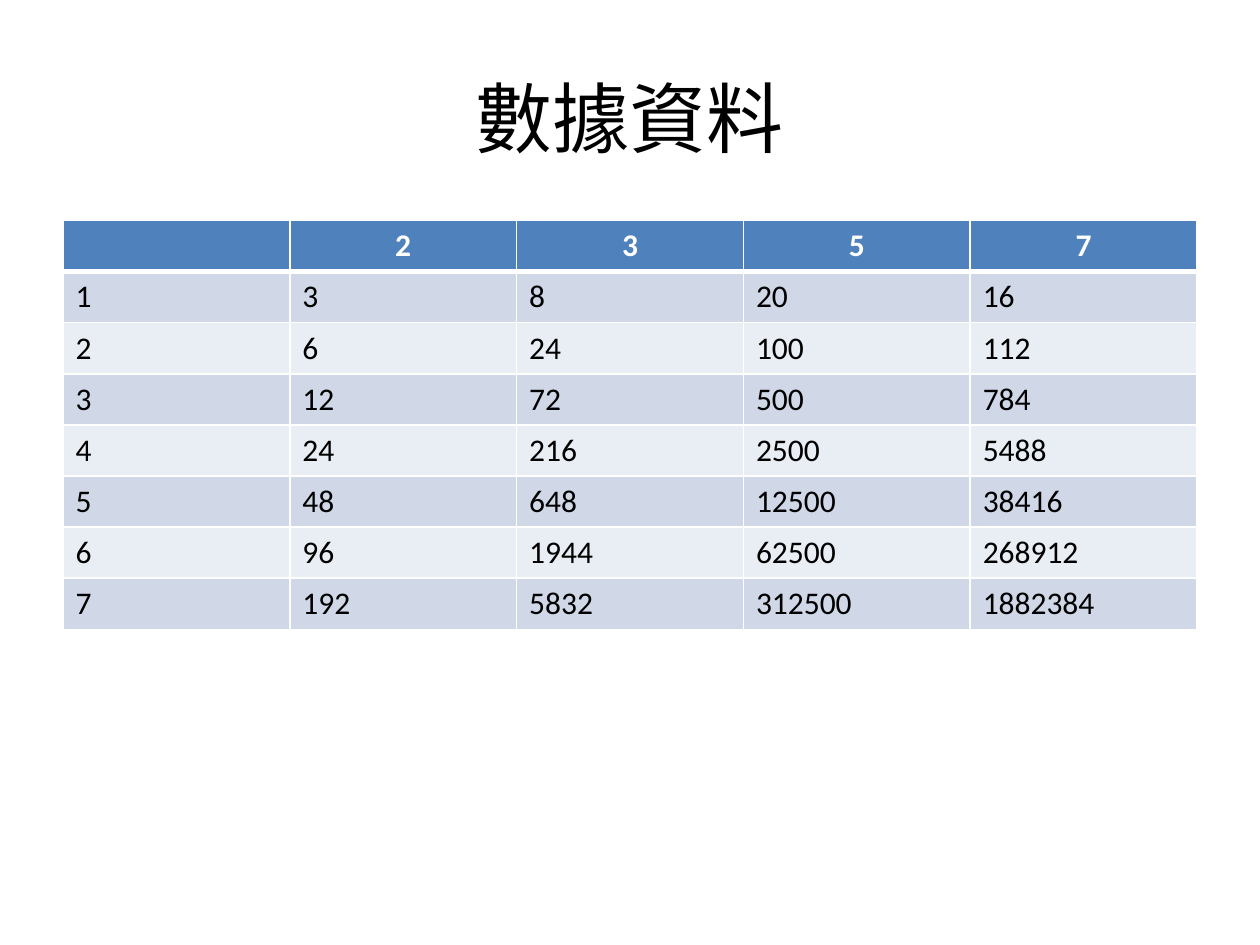
from lxml import etree
from pptx import Presentation
from pptx import util as u
from pptx.dml.color import RGBColor
from pptx.enum import text as t
from pptx.oxml import ns

BLACK = RGBColor(0x00, 0x00, 0x00)
WHITE = RGBColor(0xFF, 0xFF, 0xFF)
HEADER_BLUE = RGBColor(0x4F, 0x81, 0xBD)
BAND_DARK = RGBColor(0xD0, 0xD8, 0xE8)
BAND_LIGHT = RGBColor(0xE9, 0xED, 0xF4)


def write(frame, content, size=18, color=BLACK, bold=False,
          align=t.PP_ALIGN.LEFT, font="Calibri"):
    paragraph = frame.paragraphs[0]
    paragraph.alignment = align
    paragraph.font.size = u.Pt(size)
    if content:
        run = paragraph.add_run()
        run.text = content
        run.font.name, run.font.size = font, u.Pt(size)
        run.font.bold, run.font.color.rgb = bold, color


def border(cell, **widths):
    """Set white cell borders; widths in points, keyed L, R, T, B in that order."""
    properties = cell._tc.get_or_add_tcPr()
    for position, (side, width) in enumerate(widths.items()):
        line = etree.Element(ns.qn(f"a:ln{side}"), w=str(u.Pt(width)))
        fill = etree.SubElement(line, ns.qn("a:solidFill"))
        etree.SubElement(fill, ns.qn("a:srgbClr"), val=str(WHITE))
        properties.insert(position, line)


class DataSlide:
    def __init__(self, deck):
        self.slide = deck.slides.add_slide(deck.slide_layouts[5])
        self.left, self.width = u.Inches(0.5), u.Inches(9)

    def title(self, content, top, height):
        heading = self.slide.shapes.title
        heading.left, heading.top = self.left, u.Inches(top)
        heading.width, heading.height = self.width, u.Inches(height)
        heading.text_frame.vertical_anchor = t.MSO_ANCHOR.MIDDLE
        write(heading.text_frame, content, size=44, align=t.PP_ALIGN.CENTER)

    def table(self, rows, top, height):
        grid = self.slide.shapes.add_table(
            len(rows), len(rows[0]), self.left, u.Inches(top),
            self.width, u.Inches(height)).table
        for r, values in enumerate(rows):
            header = r == 0
            band = HEADER_BLUE if header else (BAND_LIGHT, BAND_DARK)[r % 2]
            style = (dict(color=WHITE, bold=True, align=t.PP_ALIGN.CENTER)
                     if header else {})
            for c, value in enumerate(values):
                cell = grid.cell(r, c)
                cell.fill.solid()
                cell.fill.fore_color.rgb = band
                border(cell, L=1, R=1, T=3 if r == 1 else 1, B=3 if header else 1)
                write(cell.text_frame, str(value), **style)


# Each column is a geometric sequence: ratio in the header, first term below
FIRST_TERMS = {2: 3, 3: 8, 5: 20, 7: 16}
sequence_rows = [["", *FIRST_TERMS]]
for n in range(1, 8):
    sequence_rows.append(
        [n, *(first * ratio ** (n - 1) for ratio, first in FIRST_TERMS.items())])

deck = Presentation()
deck.slide_width, deck.slide_height = u.Inches(10), u.Inches(7.5)

# Title and data table
data_slide = DataSlide(deck)
data_slide.title("數據資料", top=0.3, height=1.25)
data_slide.table(sequence_rows, top=1.75, height=3.24)

deck.save("out.pptx")
